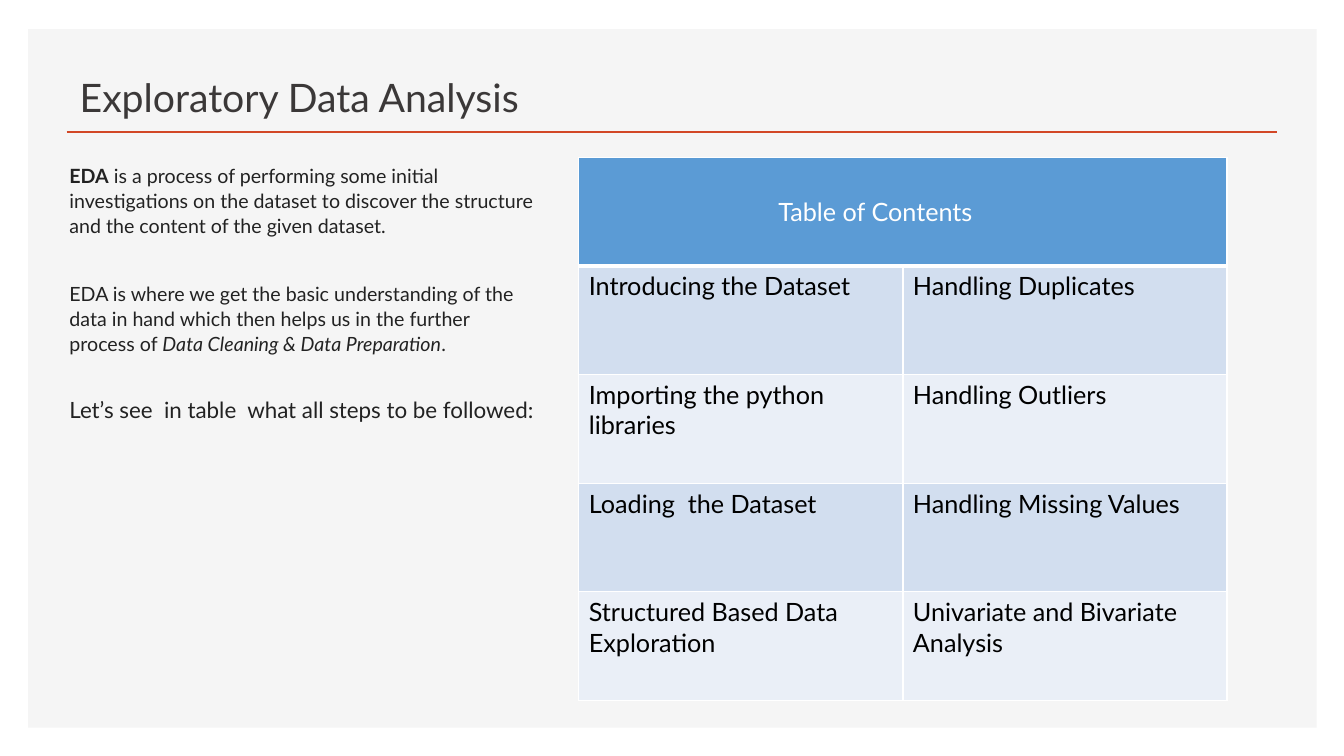
from lxml.etree import SubElement
from pptx import Presentation
from pptx.dml.color import RGBColor
from pptx.enum.shapes import MSO_CONNECTOR, MSO_SHAPE
from pptx.enum.text import MSO_ANCHOR as Anchor, MSO_AUTO_SIZE as AutoSize, PP_ALIGN as Align
from pptx.oxml.ns import qn
from pptx.util import Inches, Pt

WIDTH, HEIGHT = Inches(13.33), Inches(7.5)
FONT = "Lato"
WHITE = RGBColor(0xFF, 0xFF, 0xFF)
BLACK = RGBColor(0, 0, 0)
PANEL = RGBColor(0xF5, 0xF5, 0xF5)
ACCENT = RGBColor(0xD2, 0x47, 0x26)
TITLE_GREY = RGBColor(0x3B, 0x38, 0x38)
BODY_GREY = RGBColor(0x22, 0x22, 0x22)
HEADER_BLUE = RGBColor(0x5B, 0x9B, 0xD5)
BANDS = (RGBColor(0xD2, 0xDE, 0xEF), RGBColor(0xEA, 0xEF, 0xF7))

CONTENT_TOP = Inches(1.56)
TABLE_LEFT, TABLE_WIDTH, TABLE_HEIGHT = Inches(5.74), Inches(6.43), Inches(5.39)

INTRO = [
    (14, [("EDA", "bold"),
          (" is a process of performing some initial investigations on the dataset "
           "to discover the structure and the content of the given dataset.", "")]),
    (14, [("EDA is where we get the basic understanding of the data in hand "
           "which then helps us in the further process of ", ""),
          ("Data Cleaning & Data Preparation", "italic"), (".", "")]),
    (16, [("Let’s see  in table  what all steps to be followed:", "")]),
]
STEPS = [
    ("Introducing the Dataset", "Handling Duplicates"),
    ("Importing the python libraries", "Handling Outliers"),
    ("Loading  the Dataset", "Handling Missing Values"),
    ("Structured Based Data Exploration", "Univariate and Bivariate Analysis"),
]


def add_run(para, text, size, colour, style=""):
    """Append one formatted run to a paragraph."""
    run = para.add_run()
    run.text = text
    run.font.name, run.font.size = FONT, Pt(size)
    run.font.color.rgb = colour
    run.font.bold, run.font.italic = style == "bold", style == "italic"


def add_panel(page):
    """Place the grey panel behind everything else."""
    panel = page.shapes.add_shape(MSO_SHAPE.RECTANGLE, Inches(0.28), Inches(0.29),
                                  Inches(12.78), Inches(6.93))
    panel.shadow.inherit = False
    panel.fill.solid()
    panel.fill.fore_color.rgb = PANEL
    panel.line.fill.background()
    page.shapes._spTree.insert(2, panel._element)


def add_rule(page):
    """Draw the accent line under the title."""
    rule = page.shapes.add_connector(MSO_CONNECTOR.STRAIGHT, Inches(0.66), Inches(1.31),
                                     Inches(12.67), Inches(1.31))
    rule.line.color.rgb, rule.line.width = ACCENT, Pt(2)
    SubElement(rule._element.spPr, qn("a:effectLst"))


def set_title(page, text):
    """Move the title placeholder and fill it."""
    title = page.shapes.title
    title.left, title.top = Inches(0.69), Inches(0.54)
    title.width, title.height = Inches(7.52), Inches(0.7)
    frame = title.text_frame
    frame.auto_size, frame.vertical_anchor = AutoSize.NONE, Anchor.BOTTOM
    frame.paragraphs[0].alignment = Align.LEFT
    add_run(frame.paragraphs[0], text, 28, TITLE_GREY)


def add_intro(page):
    """Write the explanatory paragraphs left of the table."""
    box = page.shapes.add_textbox(Inches(0.59), CONTENT_TOP, Inches(4.83), Inches(3.43))
    frame = box.text_frame
    frame.word_wrap = True
    for index, (size, runs) in enumerate(INTRO):
        para = frame.add_paragraph() if index else frame.paragraphs[0]
        para.line_spacing, para.space_before, para.space_after = Pt(18), Pt(10), Pt(20)
        for text, style in runs:
            add_run(para, text, size, BODY_GREY, style)


def set_borders(cell, bottom):
    """Give a cell white borders, with its own bottom width in points."""
    properties = cell._tc.get_or_add_tcPr()
    widths = {"a:lnL": 1, "a:lnR": 1, "a:lnT": 1, "a:lnB": bottom}
    for position, (tag, width) in enumerate(widths.items()):
        line = properties.makeelement(qn(tag), {"w": str(Pt(width))})
        properties.insert(position, line)
        SubElement(SubElement(line, qn("a:solidFill")), qn("a:srgbClr"), val=str(WHITE))


def fill_cell(cell, text, fill, colour, bottom=1):
    """Set a cell's fill, borders and text."""
    cell.fill.solid()
    cell.fill.fore_color.rgb = fill
    set_borders(cell, bottom)
    add_run(cell.text_frame.paragraphs[0], text, 18, colour)


def add_contents(page):
    """Build the table of steps under one merged header."""
    rows, columns = len(STEPS) + 1, len(STEPS[0])
    table = page.shapes.add_table(rows, columns, TABLE_LEFT, CONTENT_TOP,
                                  TABLE_WIDTH, TABLE_HEIGHT).table
    header = table.cell(0, 0)
    header.merge(table.cell(0, columns - 1))
    header.vertical_anchor = Anchor.MIDDLE
    header.margin_left = Inches(1.98)
    fill_cell(header, "Table of Contents", HEADER_BLUE, WHITE, bottom=3)
    for row, steps in enumerate(STEPS, start=1):
        for column, step in enumerate(steps):
            fill_cell(table.cell(row, column), step, BANDS[(row - 1) % 2], BLACK)


def main():
    """Build the slide and save it."""
    deck = Presentation()
    deck.slide_width, deck.slide_height = WIDTH, HEIGHT
    page = deck.slides.add_slide(deck.slide_layouts[5])
    add_panel(page)
    add_rule(page)
    set_title(page, "Exploratory Data Analysis")
    add_intro(page)
    add_contents(page)
    deck.save("out.pptx")


if __name__ == "__main__":
    main()
